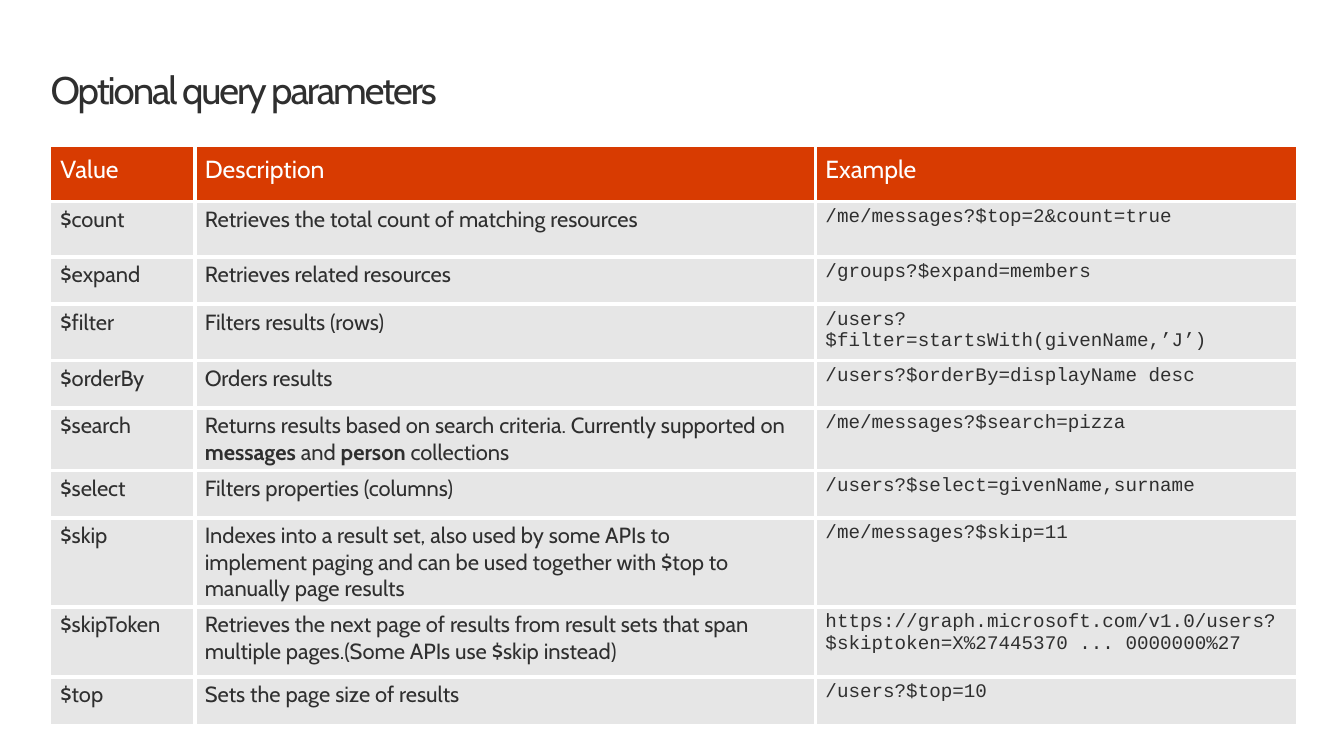
from lxml.etree import SubElement
from pptx import Presentation
from pptx.dml.color import RGBColor
from pptx.enum.text import MSO_ANCHOR, MSO_AUTO_SIZE, PP_ALIGN
from pptx.oxml.ns import qn
from pptx.util import Cm, Pt

TITLE = "Optional query parameters"
HEADINGS = ("Value", "Description", "Example")
PARAMETERS = [
    ("$count", "Retrieves the total count of matching resources",
     "/me/messages?$top=2&count=true"),
    ("$expand", "Retrieves related resources", "/groups?$expand=members"),
    ("$filter", "Filters results (rows)",
     "/users?$filter=startsWith(givenName,’J’)"),
    ("$orderBy", "Orders results", "/users?$orderBy=displayName desc"),
    ("$search",
     "Returns results based on search criteria. Currently supported on "
     "**messages** and **person** collections",
     "/me/messages?$search=pizza"),
    ("$select", "Filters properties (columns)",
     "/users?$select=givenName,surname"),
    ("$skip",
     "Indexes into a result set, also used by some APIs to\v"
     "implement paging and can be used together with $top to "
     "manually page results",
     "/me/messages?$skip=11"),
    ("$skipToken",
     "Retrieves the next page of results from result sets that span "
     "multiple pages.(Some APIs use $skip instead)",
     "https://graph.microsoft.com/v1.0/users?\n"
     "$skiptoken=X%27445370 ... 0000000%27"),
    ("$top", "Sets the page size of results", "/users?$top=10"),
]
COLUMN_WIDTHS = (3.71, 15.95, 12.37)
ROW_HEIGHTS = (1.42, 1.42, 1.22, 1.3, 1.22, 1.5, 1.22, 1.8, 1.8, 1.22)
LEFT, TITLE_TOP, TABLE_TOP, TITLE_HEIGHT = 1.3, 1.75, 3.76, 1.14

ORANGE = RGBColor(0xD8, 0x3B, 0x01)
GREY = RGBColor(0xE6, 0xE6, 0xE6)
DARK = RGBColor(0x2F, 0x2F, 0x2F)
WHITE = RGBColor(0xFF, 0xFF, 0xFF)
BODY_FONT, CODE_FONT = "Cabin", "Courier New"


def add_span(para, text, font, size, color, bold=False):
    """Append one formatted run to a paragraph."""
    span = para.add_run()
    span.text = text
    span.font.name = font
    span.font.size = Pt(size)
    span.font.color.rgb = color
    span.font.bold = bold
    return span


def fill_cell(cell, text, font, size, color):
    """Write text where \\n parts paragraphs, \\v lines and ** bold words."""
    frame = cell.text_frame
    for number, paragraph in enumerate(text.split("\n")):
        para = frame.add_paragraph() if number else frame.paragraphs[0]
        for line_number, line in enumerate(paragraph.split("\v")):
            if line_number:
                para.add_line_break()
            for piece_number, piece in enumerate(line.split("**")):
                add_span(para, piece, font, size, color, piece_number % 2 == 1)


def add_borders(cell, sides):
    """Draw white 3 pt rules on the given sides of a cell."""
    properties = cell._tc.get_or_add_tcPr()
    for side in sides:
        line = SubElement(properties, qn(f"a:ln{side}"), w=str(Pt(3)))
        solid = SubElement(line, qn("a:solidFill"))
        SubElement(solid, qn("a:srgbClr"), val=str(WHITE))


def add_title(page):
    """Place and format the slide title."""
    box = page.shapes.title
    box.left, box.top = Cm(LEFT), Cm(TITLE_TOP)
    box.width, box.height = Cm(sum(COLUMN_WIDTHS)), Cm(TITLE_HEIGHT)
    frame = box.text_frame
    frame.margin_left = frame.margin_right = Cm(0)
    frame.margin_top = frame.margin_bottom = Cm(0)
    frame.word_wrap = True
    frame.auto_size = MSO_AUTO_SIZE.SHAPE_TO_FIT_TEXT
    frame.vertical_anchor = MSO_ANCHOR.TOP
    para = frame.paragraphs[0]
    para.alignment = PP_ALIGN.LEFT
    para.line_spacing = Pt(32)
    span = add_span(para, TITLE, BODY_FONT, 28, DARK)
    span.font._element.set("spc", "-150")


def add_parameter_table(page):
    """Build the table of query parameters."""
    rows = [HEADINGS, *PARAMETERS]
    last_row, last_column = len(rows) - 1, len(HEADINGS) - 1
    table = page.shapes.add_table(
        len(rows), len(HEADINGS), Cm(LEFT), Cm(TABLE_TOP),
        Cm(sum(COLUMN_WIDTHS)), Cm(sum(ROW_HEIGHTS))).table
    table.horz_banding = False
    for column, width in zip(table.columns, COLUMN_WIDTHS):
        column.width = Cm(width)
    for row, height in zip(table.rows, ROW_HEIGHTS):
        row.height = Cm(height)
    for r, texts in enumerate(rows):
        for c, text in enumerate(texts):
            cell = table.cell(r, c)
            inner = (("L", c > 0), ("R", c < last_column),
                     ("T", r > 0), ("B", r < last_row))
            add_borders(cell, [side for side, shown in inner if shown])
            cell.fill.solid()
            cell.fill.fore_color.rgb = GREY if r else ORANGE
            if r == 0:
                cell.vertical_anchor = MSO_ANCHOR.MIDDLE
                fill_cell(cell, text, BODY_FONT, 18, WHITE)
                cell.text_frame.paragraphs[0].line_spacing = Pt(16)
            elif c == last_column:
                fill_cell(cell, text, CODE_FONT, 14, DARK)
            else:
                fill_cell(cell, text, BODY_FONT, 16, DARK)


def main():
    """Create the slide and save the deck."""
    deck = Presentation()
    deck.slide_width, deck.slide_height = Cm(34.54), Cm(19.43)
    page = deck.slides.add_slide(deck.slide_layouts[5])
    add_title(page)
    add_parameter_table(page)
    deck.save("out.pptx")


if __name__ == "__main__":
    main()
